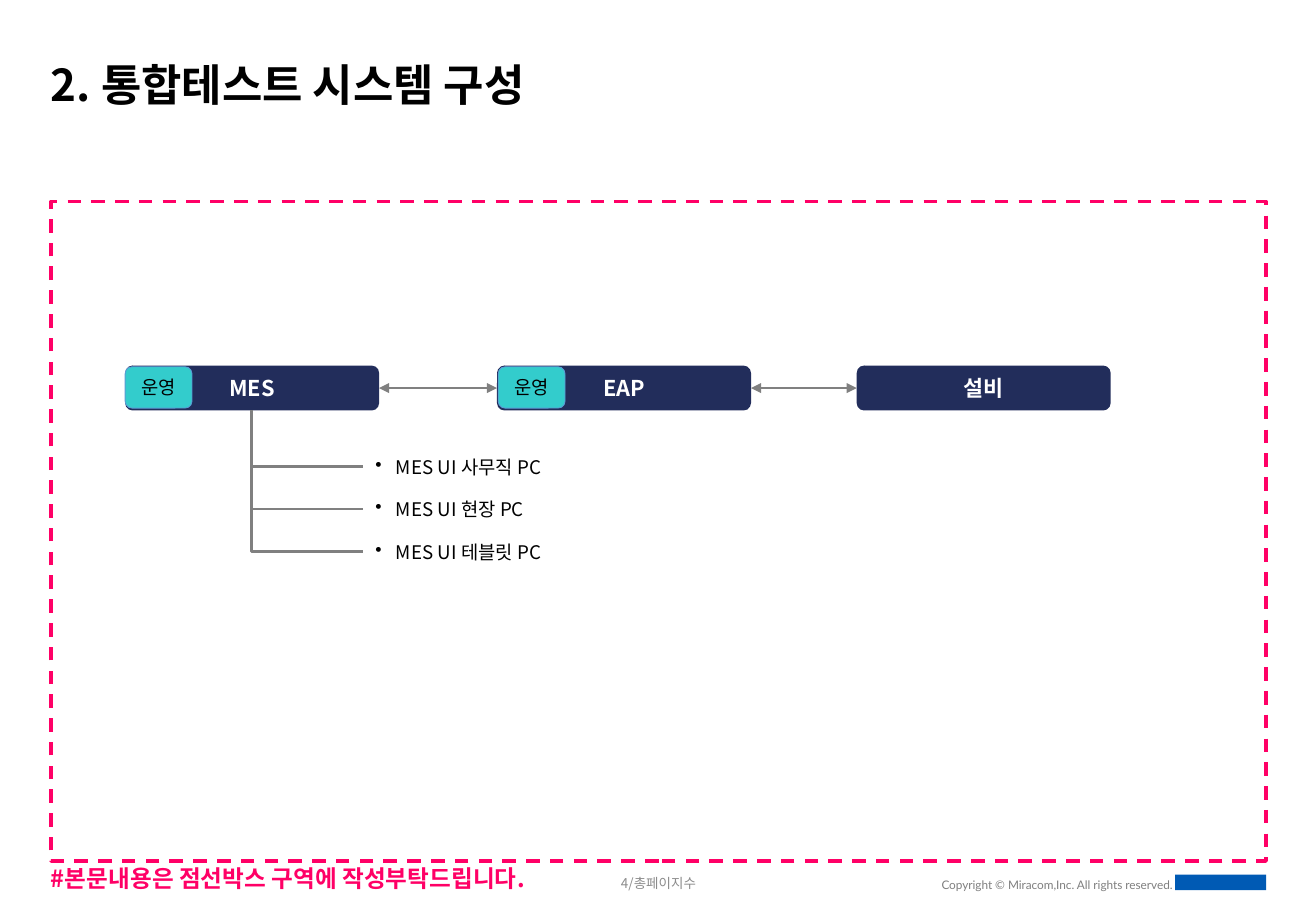
from pptx import Presentation
from pptx.dml.color import RGBColor
from pptx.enum.dml import MSO_LINE as Dash
from pptx.enum.shapes import MSO_CONNECTOR as Link, MSO_SHAPE as Form
from pptx.enum.text import MSO_ANCHOR as Anchor, MSO_AUTO_SIZE as Fit, PP_ALIGN as Align
from pptx.oxml.ns import qn
from pptx.util import Pt
from lxml.etree import SubElement as Sub

PX = 9144  # 100 px to the inch
NOTO = "Noto Sans CJK KR"
NAVY, TEAL, PINK, GRAY = "222D5B", "33CCCC", "FF0066", "808080"


def px(*nums):
    return [round(n * PX) for n in nums]


def color(code):
    return RGBColor.from_string(code)


def write(para, text, size, ink, bold=False, face=NOTO):
    run = para.add_run()
    run.text = text
    font = run.font
    font.name, font.size, font.bold = face, Pt(size), bold
    font.color.rgb = color(ink)
    Sub(font._element, qn("a:ea")).set("typeface", face)


def label(slide, area, text, size, ink, bold=False, face=NOTO,
          align=Align.LEFT, anchor=Anchor.TOP, flush=True, grow=True):
    frame = slide.shapes.add_textbox(*px(*area)).text_frame
    frame.word_wrap = True
    frame.auto_size = Fit.SHAPE_TO_FIT_TEXT if grow else Fit.NONE
    frame.vertical_anchor = anchor
    if flush:
        frame.margin_left = frame.margin_right = 0
        frame.margin_top = frame.margin_bottom = 0
    para = frame.paragraphs[0]
    para.alignment = align
    write(para, text, size, ink, bold, face)
    return para


def bullet(slide, area, text):
    para = label(slide, area, text, 11.1, "000000", flush=False)
    props = para._p.get_or_add_pPr()
    indent = px(17)[0]
    props.set("marL", str(indent))
    props.set("indent", str(-indent))
    Sub(props, qn("a:buChar")).set("char", "•")


def block(slide, area, form, fill=None, line=None, width=1):
    shape = slide.shapes.add_shape(form, *px(*area))
    shape.shadow.inherit = False
    if fill:
        shape.fill.solid()
        shape.fill.fore_color.rgb = color(fill)
    else:
        shape.fill.background()
    if line:
        shape.line.color.rgb = color(line)
        shape.line.width = Pt(width)
    else:
        shape.line.fill.background()
    return shape


def node(slide, area, text, size, ink, fill, line=None, bold=False, face=NOTO):
    shape = block(slide, area, Form.ROUNDED_RECTANGLE, fill, line, 0.5)
    frame = shape.text_frame
    frame.vertical_anchor = Anchor.MIDDLE
    para = frame.paragraphs[0]
    para.alignment = Align.CENTER
    write(para, text, size, ink, bold, face)
    return shape


def wire(slide, kind, ends, width):
    link = slide.shapes.add_connector(kind, *px(*ends))
    link.line.color.rgb = color(GRAY)
    link.line.width = Pt(width)
    Sub(link._element.spPr, qn("a:effectLst"))
    return link


def arrow(slide, left, right):
    link = wire(slide, Link.STRAIGHT, (0, 0, 0, 0), 1)
    link.begin_connect(left, 3)
    link.end_connect(right, 1)
    line = link.line._get_or_add_ln()
    for tag in ("a:headEnd", "a:tailEnd"):
        Sub(line, qn(tag)).set("type", "triangle")


def branch(slide, x, y, run, drop):
    # Down first, then right: a one-bend link, turned and flipped
    left, top = x + (run - drop) / 2, y + (drop - run) / 2
    link = wire(slide, Link.ELBOW, (left, top, left + drop, top + run), 1.5)
    props = link._element.spPr
    props.find(qn("a:prstGeom")).set("prst", "bentConnector2")
    turn = props.find(qn("a:xfrm"))
    turn.set("rot", "16200000")
    turn.set("flipH", "1")


def footer(slide):
    label(slide, (420, 707, 244, 40), "4/총페이지수", 8, "8C8C8C",
          align=Align.CENTER, anchor=Anchor.MIDDLE, flush=False, grow=False)
    label(slide, (757, 722, 208, 12), "Copyright © Miracom,Inc. All rights reserved.",
          7, "7F7F7F", face="Lato", align=Align.RIGHT, anchor=Anchor.MIDDLE)
    block(slide, (967, 720, 75, 13), Form.RECTANGLE, "005AB4")


def main():
    deck = Presentation()
    deck.slide_width, deck.slide_height = px(1083, 750)
    slide = deck.slides.add_slide(deck.slide_layouts[6])

    # Page frame
    footer(slide)
    area = block(slide, (42, 166, 1000, 543), Form.RECTANGLE, line=PINK, width=2)
    area.line.dash_style = Dash.DASH
    label(slide, (42, 711, 617, 24), "#본문내용은 점선박스 구역에 작성부탁드립니다.",
          14, PINK, bold=True)
    label(slide, (42, 47, 1000, 44), "2. 통합테스트 시스템 구성", 26, "000000",
          bold=True, anchor=Anchor.MIDDLE)

    # Systems, joined in a row
    nodes = [node(slide, (x, 301, 209, 37), name, 12.9, "FFFFFF", NAVY, bold=True)
             for x, name in ((103, "MES"), (409, "EAP"), (705, "설비"))]
    for left, right in zip(nodes, nodes[1:]):
        arrow(slide, left, right)

    # Live badges
    for x in (103, 410):
        node(slide, (x, 302, 55, 34), "운영", 11.1, "000000", TEAL, "5B9BD5",
             face="Calibri")

    # Clients of the first system
    for i, kind in enumerate(("사무직", "현장", "테블릿")):
        y = 370 + 35 * i
        bullet(slide, (299, y, 362, 29), f"MES UI {kind} PC")
        branch(slide, 207, 338, 92, y + 14 - 338)

    deck.save("out.pptx")


if __name__ == "__main__":
    main()
